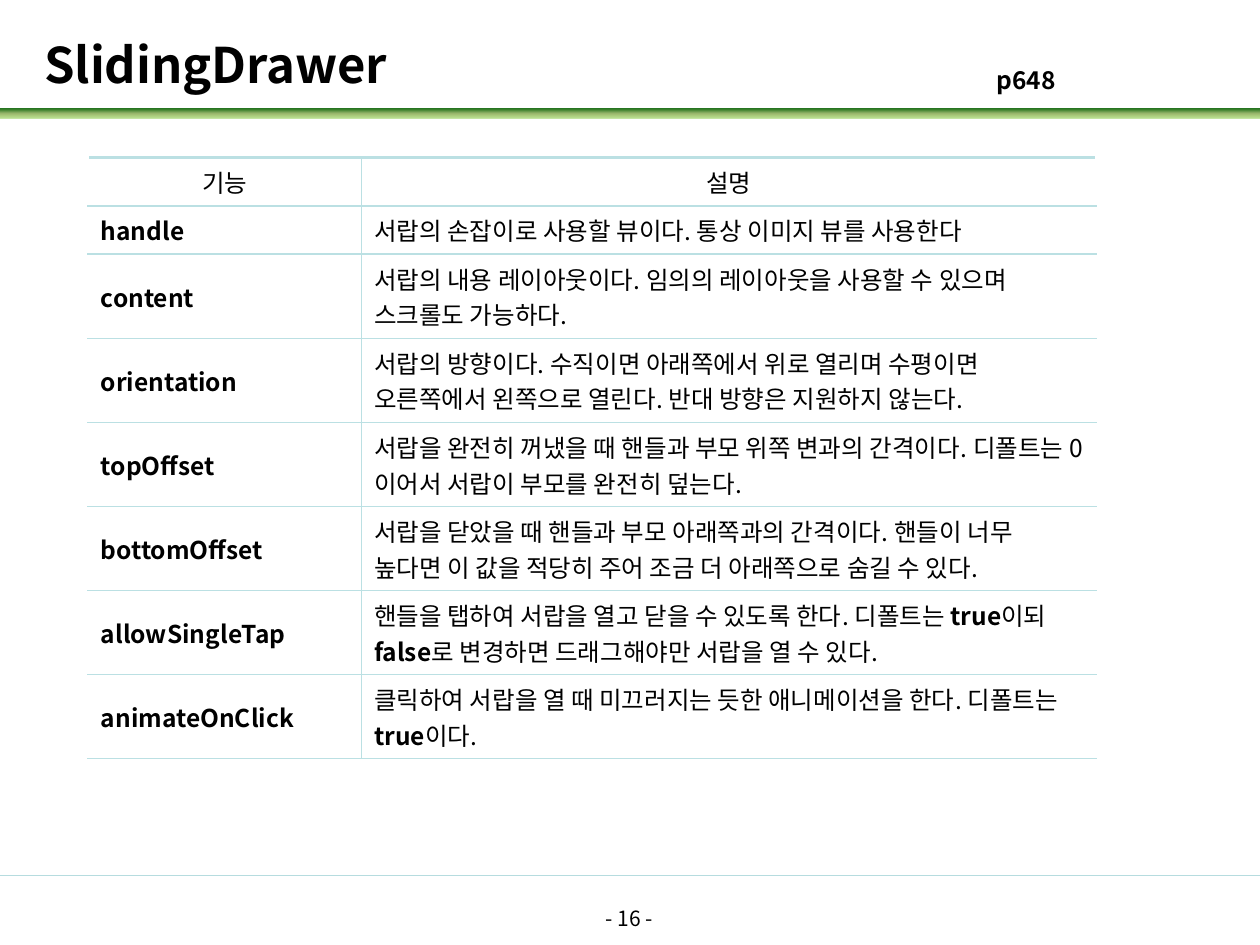
"""Build the SlidingDrawer attribute slide."""
from dataclasses import dataclass

from lxml import etree
from pptx import Presentation
from pptx.dml.color import RGBColor
from pptx.enum.shapes import MSO_CONNECTOR, MSO_SHAPE
from pptx.enum.text import MSO_ANCHOR, PP_ALIGN
from pptx.oxml import parse_xml
from pptx.oxml.ns import nsdecls, qn
from pptx.util import Inches, Pt

LEFT, CENTER = PP_ALIGN.LEFT, PP_ALIGN.CENTER
TOP, MIDDLE = MSO_ANCHOR.TOP, MSO_ANCHOR.MIDDLE
RECTANGLE = MSO_SHAPE.RECTANGLE
STRAIGHT = MSO_CONNECTOR.STRAIGHT
TITLE_ONLY = 5
BLACK = RGBColor(0, 0, 0)
TABLE_LINE = RGBColor(0xBB, 0xE0, 0xE3)
FOOTER_LINE = RGBColor(0xB6, 0xDC, 0xDF)
BAND_STOPS = (
    (0, RGBColor(0x92, 0xD0, 0x50)),
    (50, RGBColor(0x9C, 0xB8, 0x6E)),
    (100, RGBColor(0x15, 0x6B, 0x13)),
)
BAND_ALPHA = 56
FONT = "Noto Sans CJK KR"
ROW_HEIGHT = 0.35
COLUMN_WIDTHS = (2.17, 5.83)
BOLD_MARK = "*"


@dataclass
class Label:
    text: str
    left: float
    top: float
    width: float
    height: float
    size: int
    align: PP_ALIGN = LEFT


@dataclass
class Attribute:
    name: str
    description: str


LABELS = (
    Label("- 16 -", 3.83, 7.14, 2.33, 0.52, 12, CENTER),
    Label("*p648*", 7.81, 0.47, 2.49, 0.34, 14),
)
ROWS = (
    Attribute("기능", "설명"),
    Attribute("*handle*", "서랍의 손잡이로 사용할 뷰이다. 통상 이미지 뷰를 사용한다"),
    Attribute("*content*", "서랍의 내용 레이아웃이다. 임의의 레이아웃을 사용할 수 있으며 스크롤도 가능하다."),
    Attribute("*orientation*", "서랍의 방향이다. 수직이면 아래쪽에서 위로 열리며 수평이면 오른쪽에서 왼쪽으로 열린다. 반대 방향은 지원하지 않는다."),
    Attribute("*topOffset*", "서랍을 완전히 꺼냈을 때 핸들과 부모 위쪽 변과의 간격이다. 디폴트는 0이어서 서랍이 부모를 완전히 덮는다."),
    Attribute("*bottomOffset*", "서랍을 닫았을 때 핸들과 부모 아래쪽과의 간격이다. 핸들이 너무 높다면 이 값을 적당히 주어 조금 더 아래쪽으로 숨길 수 있다."),
    Attribute("*allowSingleTap*", "핸들을 탭하여 서랍을 열고 닫을 수 있도록 한다. 디폴트는 *true*이되 *false*로 변경하면 드래그해야만 서랍을 열 수 있다."),
    Attribute("*animateOnClick*", "클릭하여 서랍을 열 때 미끄러지는 듯한 애니메이션을 한다. 디폴트는 *true*이다."),
)


def write_text(text_frame, text: str, size: int, align: PP_ALIGN = LEFT) -> None:
    paragraph = text_frame.paragraphs[0]
    paragraph.alignment = align
    for index, part in enumerate(text.split(BOLD_MARK)):
        if not part:
            continue
        run = paragraph.add_run()
        run.text = part
        formats = {"name": FONT, "size": Pt(size), "bold": index % 2 == 1}
        for attribute, value in formats.items():
            setattr(run.font, attribute, value)
        run.font.color.rgb = BLACK
        east_asian = etree.SubElement(run.font._element, qn("a:ea"))
        east_asian.set("typeface", FONT)


def add_band(slide) -> None:
    band = slide.shapes.add_shape(
        RECTANGLE, 0, Inches(0.86), Inches(10), Inches(0.08)
    )
    band.shadow.inherit = False
    band.line.fill.background()
    stops = "".join(
        f'<a:gs pos="{position * 1000}"><a:srgbClr val="{color}">'
        f'<a:alpha val="{BAND_ALPHA * 1000}"/></a:srgbClr></a:gs>'
        if position == 0
        else f'<a:gs pos="{position * 1000}"><a:srgbClr val="{color}"/></a:gs>'
        for position, color in BAND_STOPS
    )
    gradient = parse_xml(
        f'<a:gradFill {nsdecls("a")}><a:gsLst>{stops}</a:gsLst>'
        '<a:lin ang="16200000" scaled="0"/></a:gradFill>'
    )
    band._element.spPr.find(qn("a:prstGeom")).addnext(gradient)


def add_footer_line(slide) -> None:
    line = slide.shapes.add_connector(
        STRAIGHT, 0, Inches(6.95), Inches(10), Inches(6.95)
    )
    line.line.color.rgb = FOOTER_LINE
    line.line.width = Pt(0.75)
    etree.SubElement(line._element.spPr, qn("a:effectLst"))


def add_title(slide) -> None:
    title = slide.shapes.title
    box = {"left": 0.35, "top": 0.28, "width": 6.12, "height": 0.45}
    for attribute, value in box.items():
        setattr(title, attribute, Inches(value))
    title.text_frame.margin_left = title.text_frame.margin_right = 0
    title.text_frame.vertical_anchor = MIDDLE
    write_text(title.text_frame, "*SlidingDrawer*", 28)


def add_label(slide, label: Label) -> None:
    box = slide.shapes.add_textbox(
        Inches(label.left), Inches(label.top), Inches(label.width), Inches(label.height)
    )
    box.text_frame.word_wrap = True
    box.text_frame.vertical_anchor = TOP
    write_text(box.text_frame, label.text, label.size, label.align)


def set_borders(cell, widths: dict[str, float]) -> None:
    properties = cell._tc.get_or_add_tcPr()
    for side, width in widths.items():
        border = etree.SubElement(properties, qn(f"a:ln{side}"), w=str(Pt(width)))
        fill = etree.SubElement(border, qn("a:solidFill"))
        etree.SubElement(fill, qn("a:srgbClr"), val=str(TABLE_LINE))


def add_attribute_table(slide) -> None:
    table = slide.shapes.add_table(
        len(ROWS), len(COLUMN_WIDTHS), Inches(0.7), Inches(1.25),
        Inches(sum(COLUMN_WIDTHS)), Inches(ROW_HEIGHT * len(ROWS)),
    ).table
    table.first_row = table.horz_banding = False
    for column, width in zip(table.columns, COLUMN_WIDTHS):
        column.width = Inches(width)
    for row_index, attribute in enumerate(ROWS):
        table.rows[row_index].height = Inches(ROW_HEIGHT)
        for column_index, text in enumerate((attribute.name, attribute.description)):
            cell = table.cell(row_index, column_index)
            inner_side = "L" if column_index else "R"
            set_borders(cell, {
                inner_side: 1,
                "T": 1.5 if row_index < 2 else 1,
                "B": 1.5 if row_index == 0 else 1,
            })
            cell.fill.background()
            cell.vertical_anchor = MIDDLE
            write_text(cell.text_frame, text, 14, LEFT if row_index else CENTER)


def main() -> None:
    presentation = Presentation()
    presentation.slide_width = Inches(10)
    presentation.slide_height = Inches(7.5)
    slide = presentation.slides.add_slide(presentation.slide_layouts[TITLE_ONLY])
    add_band(slide)
    add_footer_line(slide)
    add_attribute_table(slide)
    add_title(slide)
    for label in LABELS:
        add_label(slide, label)
    presentation.save("out.pptx")


if __name__ == "__main__":
    main()
